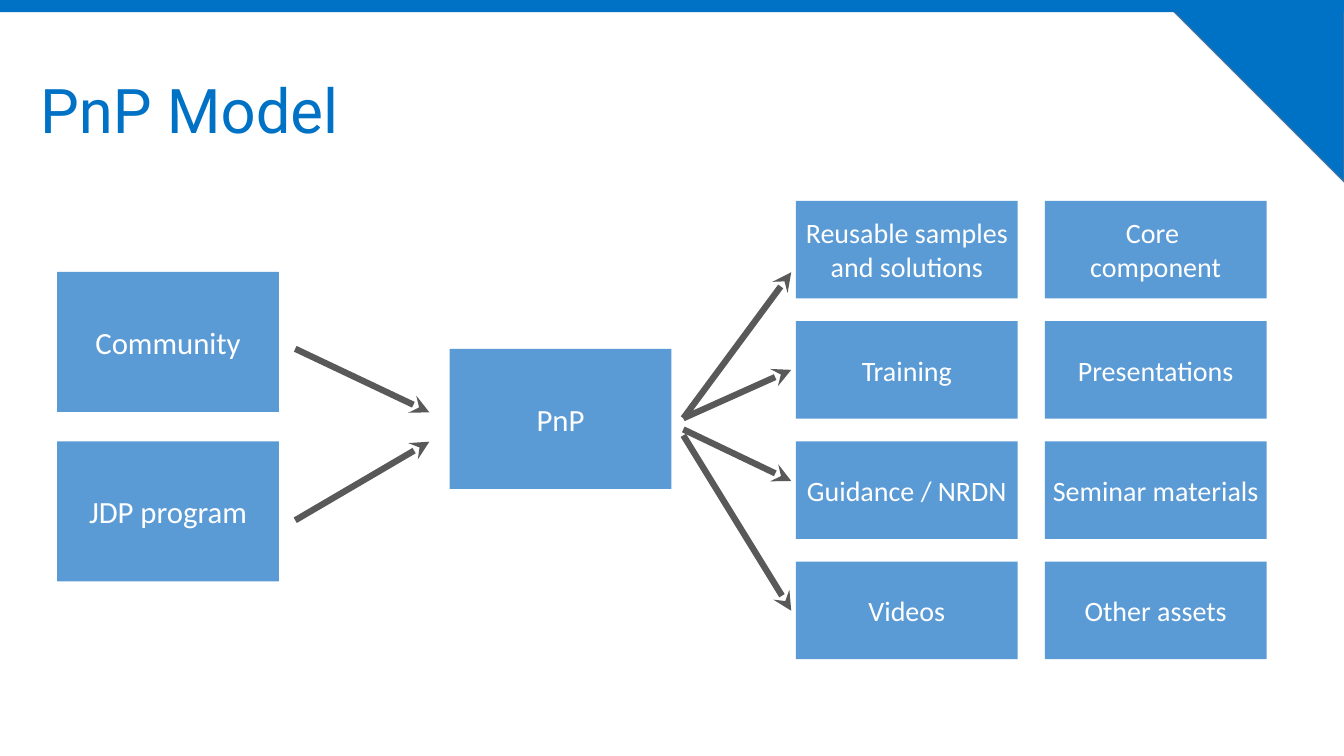
from lxml import etree
from pptx import Presentation
from pptx.dml.color import RGBColor
from pptx.enum.shapes import MSO_CONNECTOR, MSO_SHAPE
from pptx.enum.text import MSO_ANCHOR, PP_ALIGN
from pptx.oxml.ns import qn
from pptx.util import Cm, Pt

RECTANGLE, TRIANGLE = MSO_SHAPE.RECTANGLE, MSO_SHAPE.RIGHT_TRIANGLE
STRAIGHT = MSO_CONNECTOR.STRAIGHT
MIDDLE = MSO_ANCHOR.MIDDLE
LEFT, CENTER = PP_ALIGN.LEFT, PP_ALIGN.CENTER

COLORS = {
    "brand": "0072C5",
    "corner_edge": "43739E",
    "box": "5B9BD5",
    "arrow": "595959",
    "box_text": "FFFFFF",
}

# Content; all lengths in centimetres
TITLE = "PnP Model"
SOURCES = ["Community", "JDP program"]
HUB = "PnP"
OUTPUTS = [
    ("Reusable samples and solutions", "Core \vcomponent"),
    ("Training", "Presentations"),
    ("Guidance / NRDN", "Seminar materials"),
    ("Videos", "Other assets"),
]
# Start and end height of each arrow
SOURCE_ARROWS = [(8.79, 10.39), (13.11, 11.13)]
OUTPUT_ARROWS = [(10.54, 6.86), (10.54, 9.32), (10.82, 12.12), (10.97, 15.39)]

SLIDE_W, SLIDE_H = 33.87, 19.05
BAR_H, CORNER = 0.31, 4.58
BOX_W, BOX_H, OUTPUT_H = 5.59, 3.53, 2.46
SOURCE_X, SOURCE_Y, SOURCE_STEP = 1.44, 6.85, 4.27
HUB_X, HUB_Y = 11.33, 8.79
OUTPUT_X, OUTPUT_Y, COLUMN_STEP, ROW_STEP = 20.06, 5.06, 6.27, 3.03
SOURCE_ARROW_X = (7.44, 10.82)
OUTPUT_ARROW_X = (17.22, 19.94)

TITLE_FONT = {"name": "Roboto", "size": Pt(44)}
BOX_FONT = {"name": "Calibri", "size": Pt(22)}
OUTPUT_FONT = {"name": "Calibri", "size": Pt(20)}
BOX_FRAME = {"word_wrap": True, "vertical_anchor": MIDDLE}
BOX_FRAME.update({f"margin_{side}": Cm(0.13) for side in ("left", "top", "right", "bottom")})
TITLE_FRAME = {"word_wrap": True, "vertical_anchor": MIDDLE}


def rgb(role):
    return RGBColor.from_string(COLORS[role])


def set_attributes(target, values):
    for attribute, value in values.items():
        setattr(target, attribute, value)


def write_text(shape, text, frame_format, font_format, color, alignment):
    frame = shape.text_frame
    set_attributes(frame, frame_format)
    frame.text = text
    paragraph = frame.paragraphs[0]
    paragraph.alignment = alignment
    for run in paragraph.runs:
        set_attributes(run.font, font_format)
        run.font.color.rgb = rgb(color)
    return paragraph


def add_filled(slide, kind, left, top, width, height, color):
    shape = slide.shapes.add_shape(kind, Cm(left), Cm(top), Cm(width), Cm(height))
    shape.shadow.inherit = False
    shape.fill.solid()
    shape.fill.fore_color.rgb = rgb(color)
    shape.line.fill.background()
    return shape


def add_box(slide, text, left, top, height, font_format):
    box = add_filled(slide, RECTANGLE, left, top, BOX_W, height, "box")
    write_text(box, text, BOX_FRAME, font_format, "box_text", CENTER)


def add_arrows(slide, x_span, heights):
    start_x, end_x = x_span
    for start_y, end_y in heights:
        arrow = slide.shapes.add_connector(
            STRAIGHT, Cm(start_x), Cm(start_y), Cm(end_x), Cm(end_y))
        arrow.line.color.rgb = rgb("arrow")
        arrow.line.width = Pt(4.5)
        etree.SubElement(arrow.line._get_or_add_ln(), qn("a:tailEnd"), type="stealth")
        etree.SubElement(arrow._element.spPr, qn("a:effectLst"))


def add_header(slide):
    corner = add_filled(slide, TRIANGLE, SLIDE_W - CORNER, 0, CORNER, CORNER, "brand")
    corner.rotation = 180
    corner.line.color.rgb = rgb("corner_edge")
    corner.line.width = Pt(1)
    add_filled(slide, RECTANGLE, 0, 0, SLIDE_W, BAR_H, "brand")
    title = slide.shapes.add_textbox(Cm(0.76), Cm(1.02), Cm(30.78), Cm(3.68))
    paragraph = write_text(title, TITLE, TITLE_FRAME, TITLE_FONT, "brand", LEFT)
    paragraph.line_spacing = 0.9


def main():
    presentation = Presentation()
    presentation.slide_width, presentation.slide_height = Cm(SLIDE_W), Cm(SLIDE_H)
    slide = presentation.slides.add_slide(presentation.slide_layouts[6])

    add_header(slide)
    for index, source in enumerate(SOURCES):
        add_box(slide, source, SOURCE_X, SOURCE_Y + index * SOURCE_STEP, BOX_H, BOX_FONT)
    add_box(slide, HUB, HUB_X, HUB_Y, BOX_H, BOX_FONT)
    for row, outputs in enumerate(OUTPUTS):
        for column, output in enumerate(outputs):
            add_box(slide, output, OUTPUT_X + column * COLUMN_STEP,
                    OUTPUT_Y + row * ROW_STEP, OUTPUT_H, OUTPUT_FONT)
    add_arrows(slide, SOURCE_ARROW_X, SOURCE_ARROWS)
    add_arrows(slide, OUTPUT_ARROW_X, OUTPUT_ARROWS)

    presentation.save("out.pptx")


if __name__ == "__main__":
    main()
